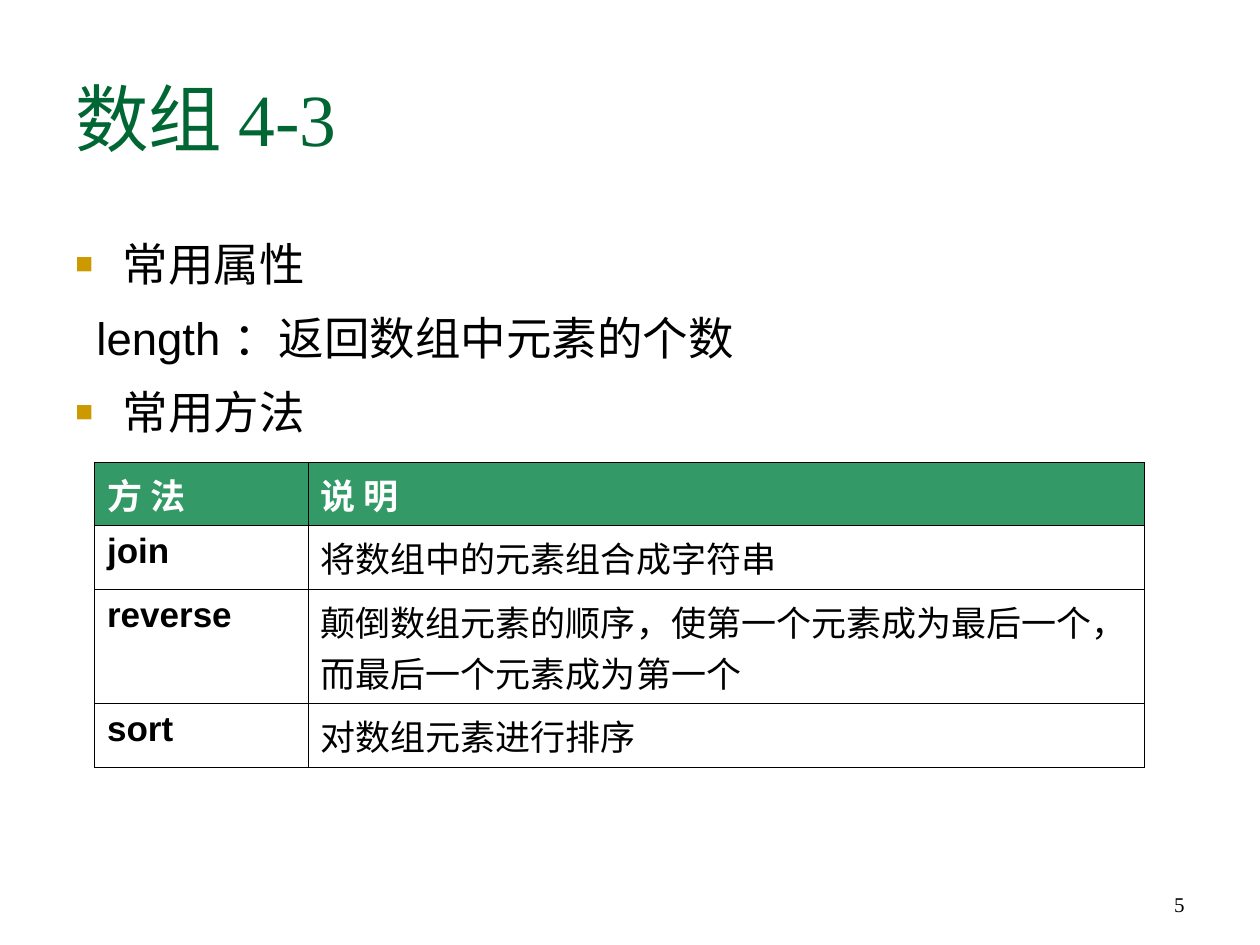
from dataclasses import dataclass

from lxml.etree import SubElement
from pptx import Presentation
from pptx.dml.color import RGBColor as Rgb
from pptx.enum.text import MSO_ANCHOR as Anchor, PP_ALIGN as Align
from pptx.oxml.ns import qn
from pptx.util import Pt


@dataclass(frozen=True)
class Theme:
    title_color: Rgb = Rgb(0x00, 0x66, 0x33)
    bullet_color: Rgb = Rgb(0xCC, 0x99, 0x00)
    header_fill: Rgb = Rgb(0x33, 0x99, 0x66)
    white: Rgb = Rgb(0xFF, 0xFF, 0xFF)
    black: Rgb = Rgb(0x00, 0x00, 0x00)
    title_size: int = 42
    body_size: int = 26
    table_size: int = 20
    number_size: int = 12
    sans: str = "Arial"
    serif: str = "Times New Roman"
    chinese: str = "Noto Sans CJK SC"


THEME = Theme()

BODY = [  # text, has bullet
    ("常用属性", True),
    ("length ：返回数组中元素的个数", False),
    ("常用方法", True),
]
METHODS = [
    ("方 法", "说 明"),
    ("join", "将数组中的元素组合成字符串"),
    ("reverse", "颠倒数组元素的顺序，使第一个元素成为最后一个，而最后一个元素成为第一个"),
    ("sort", "对数组元素进行排序"),
]
COLUMN_WIDTHS = (122, 478)
ROW_HEIGHTS = (36.3, 36.3, 65.2, 36.3)


def set_font(paragraph, name, size, color, bold=False):
    font = paragraph.font
    font.name, font.size, font.bold = name, Pt(size), bold
    font.color.rgb = color
    # Chinese characters take the East Asian font
    properties = paragraph._p.pPr.find(qn("a:defRPr"))
    SubElement(properties, qn("a:ea"), typeface=THEME.chinese)


def add_text_box(slide, left, top, width, height, anchor):
    box = slide.shapes.add_textbox(Pt(left), Pt(top), Pt(width), Pt(height))
    frame = box.text_frame
    frame.word_wrap = True
    frame.vertical_anchor = anchor
    return frame


def set_indent(paragraph, left, first_line):
    properties = paragraph._p.get_or_add_pPr()
    properties.set("marL", str(Pt(left)))
    properties.set("indent", str(Pt(first_line)))


def add_bullet(paragraph):
    properties = paragraph._p.get_or_add_pPr()
    color = SubElement(properties, qn("a:buClr"))
    SubElement(color, qn("a:srgbClr"), val=str(THEME.bullet_color))
    SubElement(properties, qn("a:buSzPct"), val="65000")
    SubElement(properties, qn("a:buFont"), typeface=THEME.sans)
    SubElement(properties, qn("a:buChar"), char="■")


def add_title(slide):
    frame = add_text_box(slide, 36, 22, 648, 90, Anchor.MIDDLE)
    paragraph = frame.paragraphs[0]
    paragraph.text = "数组 4-3"
    set_font(paragraph, THEME.serif, THEME.title_size, THEME.title_color)


def add_body(slide):
    frame = add_text_box(slide, 36, 126.7, 641, 159, Anchor.TOP)
    for index, (text, bulleted) in enumerate(BODY):
        paragraph = frame.add_paragraph() if index else frame.paragraphs[0]
        paragraph.text = text
        paragraph.line_spacing = 1.15
        if index:
            paragraph.space_before = Pt(6.5)
        set_indent(paragraph, 27, -27 if bulleted else -15)
        if bulleted:
            add_bullet(paragraph)
        set_font(paragraph, THEME.sans, THEME.body_size, THEME.black)


def set_borders(cell):
    properties = cell._tc.get_or_add_tcPr()
    for position, side in enumerate(("a:lnL", "a:lnR", "a:lnT", "a:lnB")):
        line = SubElement(properties, qn(side), w=str(Pt(0.45)))
        fill = SubElement(line, qn("a:solidFill"))
        SubElement(fill, qn("a:srgbClr"), val=str(THEME.black))
        # Borders come before the fill of the cell
        properties.insert(position, line)


def add_method_table(slide):
    table = slide.shapes.add_table(
        len(METHODS), len(COLUMN_WIDTHS), Pt(54), Pt(264.2),
        Pt(sum(COLUMN_WIDTHS)), Pt(sum(ROW_HEIGHTS))).table
    for column, width in zip(table.columns, COLUMN_WIDTHS):
        column.width = Pt(width)
    for row, height in zip(table.rows, ROW_HEIGHTS):
        row.height = Pt(height)
    for row_index, texts in enumerate(METHODS):
        header = row_index == 0
        for column_index, text in enumerate(texts):
            cell = table.cell(row_index, column_index)
            cell.text = text
            cell.fill.solid()
            cell.fill.fore_color.rgb = THEME.header_fill if header else THEME.white
            set_borders(cell)
            set_font(cell.text_frame.paragraphs[0], THEME.sans, THEME.table_size,
                     THEME.white if header else THEME.black,
                     bold=header or column_index == 0)


def add_slide_number(slide):
    frame = add_text_box(slide, 516, 491.6, 168, 36, Anchor.BOTTOM)
    paragraph = frame.paragraphs[0]
    paragraph.text = "5"
    paragraph.alignment = Align.RIGHT
    set_font(paragraph, THEME.serif, THEME.number_size, THEME.black)


def main():
    presentation = Presentation()
    presentation.slide_width, presentation.slide_height = Pt(720), Pt(540)
    slide = presentation.slides.add_slide(presentation.slide_layouts[6])
    add_title(slide)
    add_body(slide)
    add_method_table(slide)
    add_slide_number(slide)
    presentation.save("out.pptx")


if __name__ == "__main__":
    main()
